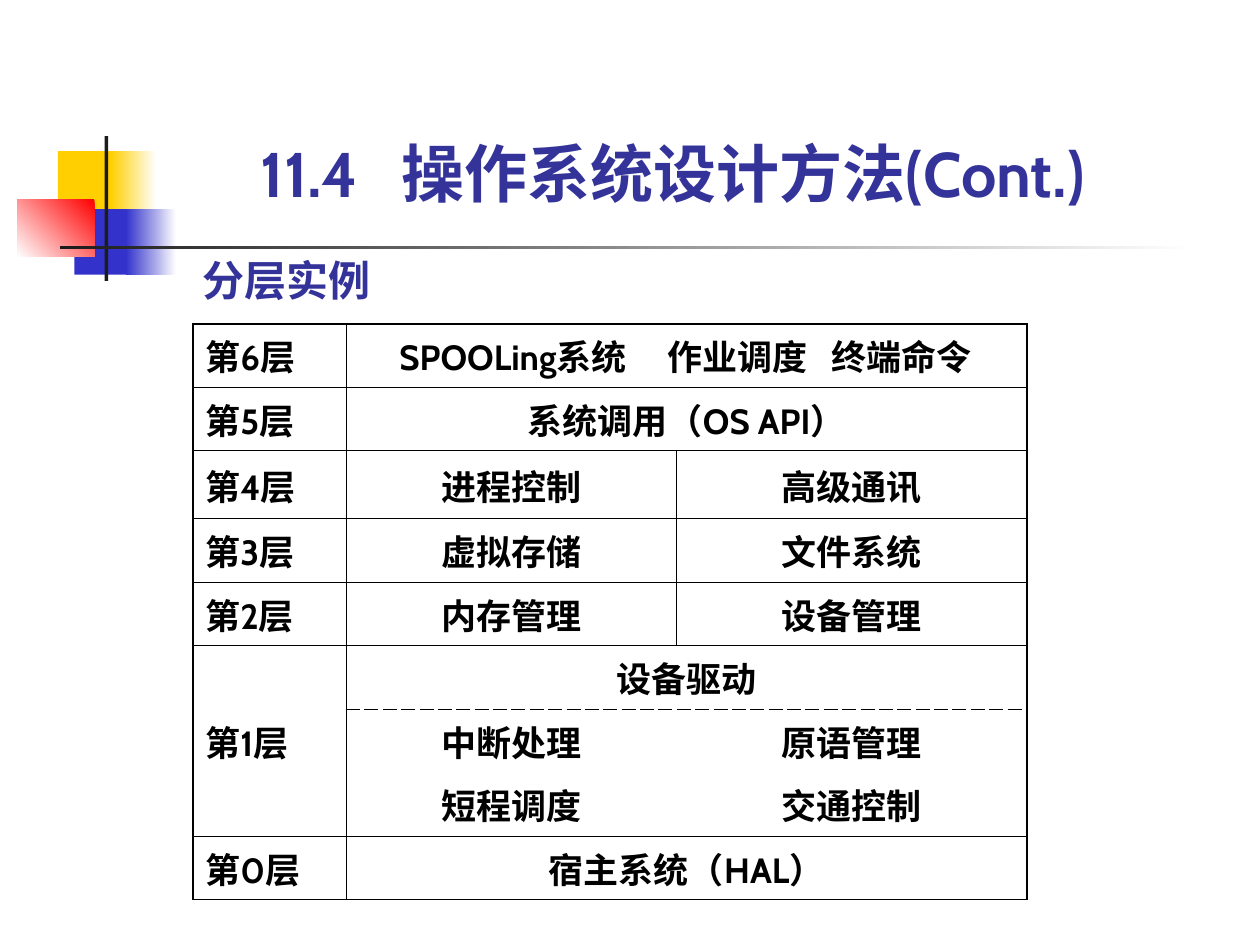
import pptx
import pptx.dml.color
import pptx.enum.shapes
import pptx.enum.text
import pptx.oxml
import pptx.oxml.ns
import pptx.util
from lxml import etree

Inches = pptx.util.Inches
Pt = pptx.util.Pt
RGBColor = pptx.dml.color.RGBColor
Align = pptx.enum.text.PP_ALIGN
Anchor = pptx.enum.text.MSO_ANCHOR
qn = pptx.oxml.ns.qn

YELLOW = RGBColor(0xFF, 0xCF, 0x01)
BLUE = RGBColor(0x33, 0x33, 0xCC)
RED = RGBColor(0xFF, 0, 0)
DARK = RGBColor(0x1C, 0x1C, 0x1C)
WHITE = RGBColor(0xFF, 0xFF, 0xFF)
BLACK = RGBColor(0, 0, 0)
INDIGO = RGBColor(0x33, 0x33, 0x99)

TITLE = "11.4\t操作系统设计方法(Cont.)"
SUBTITLE = "分层实例"
LAYERS = [
    ("第6层", "SPOOLing系统\t作业调度\t终端命令"),
    ("第5层", "系统调用（OS API）"),
    ("第4层", "进程控制", "高级通讯"),
    ("第3层", "虚拟存储", "文件系统"),
    ("第2层", "内存管理", "设备管理"),
    ("第1层", "设备驱动"),
    ("", "中断处理", "原语管理"),
    ("", "短程调度", "交通控制"),
    ("第0层", "宿主系统（HAL）"),
]
COLUMN_WIDTHS = [1.22, 2.62, 2.78]
ROW_HEIGHTS = [0.44, 0.5, 0.54, 0.5, 0.44, 0.5, 0.5, 0.44, 0.49]
KERNEL_ROW, KERNEL_SPAN = 5, 3

DECORATION = [
    ((0.46, 1.2, 0.48, 0.52), [YELLOW], 0),
    ((0.88, 1.2, 0.36, 0.52), [WHITE, YELLOW], 180),
    ((0.59, 1.66, 0.46, 0.52), [BLUE], 0),
    ((1, 1.66, 0.4, 0.52), [WHITE, BLUE], 180),
    ((0.14, 1.58, 0.61, 0.46), [RED, WHITE], 225),
    ((0.83, 1.08, 0.03, 1.15), [DARK], 0),
    ((0.48, 1.95, 9, 0.03), [WHITE, DARK], 180),
]

OUTER, INNER, DASHED = (1.08, "solid"), (0.45, "solid"), (0.75, "dash")
TITLE_FONT = {"name": "Cabin", "size": Pt(36), "bold": True}
SUBTITLE_FONT = {"name": "Times New Roman", "size": Pt(24), "bold": True}
TABLE_FONT = {"name": "Cabin", "size": Pt(20), "bold": True}


def set_all(target, values):
    for name, value in values.items():
        setattr(target, name, value)


def place(shape, left, top, width, height):
    set_all(shape, {"left": Inches(left), "top": Inches(top),
                    "width": Inches(width), "height": Inches(height)})


def write(frame, text, font, color, align, tabs=()):
    para = frame.paragraphs[0]
    para.alignment = align
    if tabs:
        tab_list = etree.SubElement(para._p.get_or_add_pPr(), qn("a:tabLst"))
        for position in tabs:
            etree.SubElement(tab_list, qn("a:tab"), pos=str(Inches(position)), algn="l")
    span = para.add_run()
    span.text = text
    set_all(span.font, font)
    span.font.color.rgb = color


def decorate(page, bounds, colors, angle):
    shape = page.shapes.add_shape(pptx.enum.shapes.MSO_SHAPE.RECTANGLE,
                                  *[Inches(value) for value in bounds])
    shape.shadow.inherit = False
    shape.line.fill.background()
    if len(colors) == 1:
        shape.fill.solid()
        shape.fill.fore_color.rgb = colors[0]
        return
    shape.fill.gradient()
    shape.fill.gradient_angle = angle
    for position, (stop, color) in enumerate(zip(shape.fill.gradient_stops, colors)):
        stop.color.rgb = color
        stop.position = position


def vertical_edge(row, line):
    if line in (0, len(COLUMN_WIDTHS)):
        return OUTER
    split = len(LAYERS[row]) == 3 and LAYERS[row][0]
    return INNER if line == 1 or split else None


def horizontal_edge(line, column):
    if line in (0, len(LAYERS)):
        return OUTER
    if KERNEL_ROW < line < KERNEL_ROW + KERNEL_SPAN:
        return DASHED if column > 0 and line == KERNEL_ROW + 1 else None
    return INNER


def draw_borders(cell, edges):
    properties = cell._tc.get_or_add_tcPr()
    for tag, edge in edges.items():
        line = etree.SubElement(properties, qn("a:" + tag))
        if edge is None:
            etree.SubElement(line, qn("a:noFill"))
            continue
        width, dash = edge
        line.set("w", str(Pt(width)))
        fill = etree.SubElement(line, qn("a:solidFill"))
        etree.SubElement(fill, qn("a:srgbClr"), val=str(BLACK))
        etree.SubElement(line, qn("a:prstDash"), val=dash)


def fill_cell(cell, row, column):
    width = cell.span_width if cell.is_merge_origin else 1
    height = cell.span_height if cell.is_merge_origin else 1
    draw_borders(cell, {
        "lnL": vertical_edge(row, column),
        "lnR": vertical_edge(row, column + width),
        "lnT": horizontal_edge(row, column),
        "lnB": horizontal_edge(row + height, column),
    })
    cell.fill.background()
    cell.vertical_anchor = Anchor.MIDDLE
    if cell.is_spanned:
        return
    text = LAYERS[row][column]
    tabbed = "\t" in text
    if tabbed:
        cell.margin_left = Inches(0.42)
    align = Align.LEFT if column == 0 or tabbed else Align.CENTER
    write(cell.text_frame, text, TABLE_FONT, BLACK, align, (2.13, 3.43) if tabbed else ())


def add_layers(page):
    frame = page.shapes.add_table(len(LAYERS), len(COLUMN_WIDTHS), Inches(1.53), Inches(2.57),
                                  Inches(sum(COLUMN_WIDTHS)), Inches(sum(ROW_HEIGHTS)))
    table = frame.table
    set_all(table, {"first_row": False, "horz_banding": False})
    for column, width in zip(table.columns, COLUMN_WIDTHS):
        column.width = Inches(width)
    for row, height in zip(table.rows, ROW_HEIGHTS):
        row.height = Inches(height)
    for row, layer in enumerate(LAYERS):
        if len(layer) == 2:
            table.cell(row, 1).merge(table.cell(row, 2))
    table.cell(KERNEL_ROW, 0).merge(table.cell(KERNEL_ROW + KERNEL_SPAN - 1, 0))
    for row in range(len(LAYERS)):
        for column in range(len(COLUMN_WIDTHS)):
            fill_cell(table.cell(row, column), row, column)


def main():
    deck = pptx.Presentation()
    set_all(deck, {"slide_width": Inches(10), "slide_height": Inches(7.5)})
    page = deck.slides.add_slide(deck.slide_layouts[5])
    for bounds, colors, angle in DECORATION:
        decorate(page, bounds, colors, angle)

    plain = {"margin_left": 0, "margin_top": 0, "margin_right": 0, "margin_bottom": 0,
             "word_wrap": True, "auto_size": pptx.enum.text.MSO_AUTO_SIZE.NONE}
    title = page.shapes.title
    place(title, 1.69, 1.07, 7.4, 0.6)
    set_all(title.text_frame, {**plain, "margin_left": Inches(0.38),
                               "vertical_anchor": Anchor.MIDDLE})
    write(title.text_frame, TITLE, TITLE_FONT, INDIGO, Align.LEFT, (1.12,))

    add_layers(page)

    box = page.shapes.add_textbox(Inches(1.61), Inches(2.02), Inches(1.48), Inches(0.4))
    set_all(box.text_frame, plain)
    write(box.text_frame, SUBTITLE, SUBTITLE_FONT, INDIGO, Align.LEFT)
    deck.save("out.pptx")


if __name__ == "__main__":
    main()
